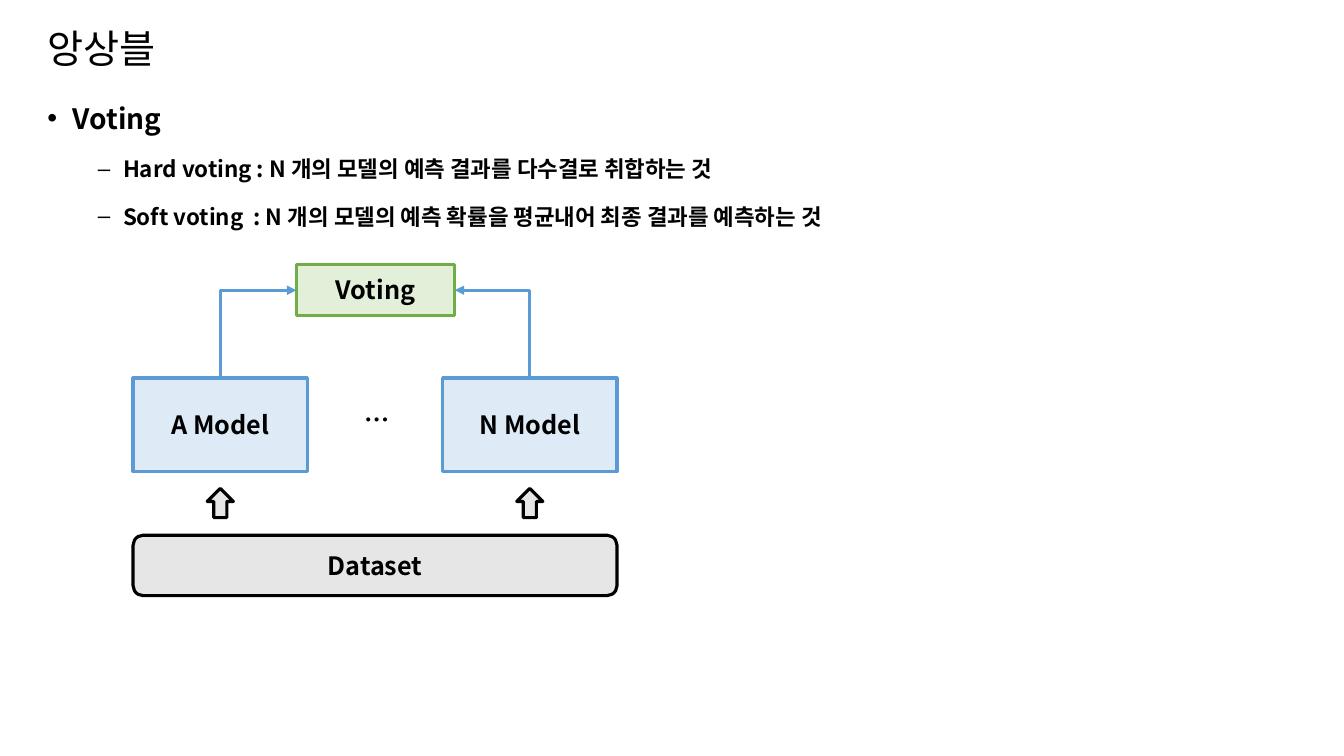
import dataclasses

import lxml.etree
import pptx
import pptx.dml.color
import pptx.enum.shapes
import pptx.enum.text
import pptx.oxml.ns
import pptx.shapes.autoshape
import pptx.shapes.base
import pptx.slide
import pptx.text.text
import pptx.util

Inches = pptx.util.Inches
Pt = pptx.util.Pt
qn = pptx.oxml.ns.qn
MSO_SHAPE = pptx.enum.shapes.MSO_SHAPE
ANCHOR = pptx.enum.text.MSO_ANCHOR
ALIGN = pptx.enum.text.PP_ALIGN

FONT = "Noto Sans CJK KR"
COLORS = {
    "text": "000000",
    "model_fill": "DEEBF7",
    "model_line": "5B9BD5",
    "voting_fill": "E2F0D9",
    "voting_line": "70AD47",
    "data_fill": "E7E6E6",
    "data_line": "000000",
}
LINE_WIDTH = Pt(2.25)
MODEL_LEFT, MODEL_WIDTH, MODEL_TOP, MODEL_STEP = 1.32, 1.73, 3.75, 3.07
VOTING_LEFT, VOTING_WIDTH, VOTING_MIDDLE = 2.94, 1.57, 2.88
ARROW_WIDTH, ARROW_HEIGHT, ARROW_TOP = 0.29, 0.26, 4.86


@dataclasses.dataclass(frozen=True)
class Block:
    label: str
    left: float
    top: float
    width: float
    height: float
    palette: str
    preset: MSO_SHAPE = MSO_SHAPE.RECTANGLE
    rotation: float = 0


@dataclasses.dataclass(frozen=True)
class Bullet:
    text: str
    level: int
    size: float
    margin: float
    line_spacing: float
    space_before: float
    mark: str


@dataclasses.dataclass(frozen=True)
class Vote:
    """Elbow from a model's top to a side of the voting block."""
    model_center: float
    voting_edge: float
    voting_site: int
    rotation: int
    flip_h: bool


def color(name: str) -> pptx.dml.color.RGBColor:
    return pptx.dml.color.RGBColor.from_string(COLORS[name])


def add_text(paragraph: pptx.text.text._Paragraph, text: str, size: float, bold: bool = True) -> None:
    run = paragraph.add_run()
    run.text = text
    run.font.name = FONT
    run.font.size = Pt(size)
    run.font.bold = bold
    run.font.color.rgb = color("text")
    east_asian = lxml.etree.SubElement(run.font._element, qn("a:ea"))
    east_asian.set("typeface", FONT)


def place(shape: pptx.shapes.base.BaseShape, left: float, top: float, width: float, height: float) -> None:
    shape.left, shape.top = Inches(left), Inches(top)
    shape.width, shape.height = Inches(width), Inches(height)


def add_bullet(paragraph: pptx.text.text._Paragraph, bullet: Bullet) -> None:
    paragraph.level = bullet.level
    paragraph.line_spacing = bullet.line_spacing
    paragraph.space_before = Pt(bullet.space_before)
    properties = paragraph._p.get_or_add_pPr()
    properties.set("marL", str(Inches(bullet.margin)))
    properties.set("indent", str(Inches(-0.25)))
    lxml.etree.SubElement(properties, qn("a:buFont")).set("typeface", "Arial")
    lxml.etree.SubElement(properties, qn("a:buChar")).set("char", bullet.mark)
    add_text(paragraph, bullet.text, bullet.size)


def add_block(slide: pptx.slide.Slide, block: Block) -> pptx.shapes.autoshape.Shape:
    shape = slide.shapes.add_shape(
        block.preset, Inches(block.left), Inches(block.top), Inches(block.width), Inches(block.height)
    )
    shape.rotation = block.rotation
    shape.shadow.inherit = False
    shape.fill.solid()
    shape.fill.fore_color.rgb = color(f"{block.palette}_fill")
    shape.line.color.rgb = color(f"{block.palette}_line")
    shape.line.width = LINE_WIDTH
    if block.label:
        shape.text_frame.vertical_anchor = ANCHOR.MIDDLE
        paragraph = shape.text_frame.paragraphs[0]
        paragraph.alignment = ALIGN.CENTER
        add_text(paragraph, block.label, 18)
    return shape


def add_vote(
    slide: pptx.slide.Slide,
    vote: Vote,
    model: pptx.shapes.autoshape.Shape,
    voting: pptx.shapes.autoshape.Shape,
) -> None:
    connector = slide.shapes.add_connector(
        pptx.enum.shapes.MSO_CONNECTOR.ELBOW,
        Inches(vote.model_center), Inches(MODEL_TOP), Inches(vote.voting_edge), Inches(VOTING_MIDDLE),
    )
    connector.begin_connect(model, 0)
    connector.end_connect(voting, vote.voting_site)

    # A single-bend elbow starts horizontally, so its frame is turned to start upwards.
    rise = MODEL_TOP - VOTING_MIDDLE
    run = abs(vote.voting_edge - vote.model_center)
    center_x = (vote.model_center + vote.voting_edge) / 2
    center_y = (MODEL_TOP + VOTING_MIDDLE) / 2
    place(connector, center_x - rise / 2, center_y - run / 2, rise, run)
    properties = connector._element.spPr
    properties.find(qn("a:prstGeom")).set("prst", "bentConnector2")
    frame = properties.find(qn("a:xfrm"))
    frame.set("rot", str(vote.rotation * 60000))
    frame.set("flipH", str(int(vote.flip_h)))
    frame.set("flipV", "1")

    connector.line.color.rgb = color("model_line")
    connector.line.width = LINE_WIDTH
    lxml.etree.SubElement(connector.line._get_or_add_ln(), qn("a:tailEnd")).set("type", "triangle")
    lxml.etree.SubElement(properties, qn("a:effectLst"))


def main() -> None:
    presentation = pptx.Presentation()
    presentation.slide_width, presentation.slide_height = Inches(13.33), Inches(7.5)
    slide = presentation.slides.add_slide(presentation.slide_layouts[1])

    title = slide.shapes.title
    place(title, 0.37, 0.21, 12.6, 0.59)
    title.text_frame.vertical_anchor = ANCHOR.MIDDLE
    heading = title.text_frame.paragraphs[0]
    heading.alignment = ALIGN.LEFT
    heading.line_spacing = 0.9
    add_text(heading, "앙상블", 28, bold=False)

    body = slide.placeholders[1]
    place(body, 0.37, 0.99, 12.6, 5.91)
    bullets = [Bullet("Voting", 0, 20, 0.25, 0.9, 10, "•")] + [
        Bullet(text, 1, 16, 0.75, 1.5, 5, "‒")
        for text in (
            "Hard voting : N 개의 모델의 예측 결과를 다수결로 취합하는 것",
            "Soft voting  : N 개의 모델의 예측 확률을 평균내어 최종 결과를 예측하는 것",
        )
    ]
    for index, bullet in enumerate(bullets):
        frame = body.text_frame
        add_bullet(frame.add_paragraph() if index else frame.paragraphs[0], bullet)

    model_lefts = [MODEL_LEFT + index * MODEL_STEP for index in range(2)]
    model_centers = [left + MODEL_WIDTH / 2 for left in model_lefts]
    models = [
        add_block(slide, Block(label, left, MODEL_TOP, MODEL_WIDTH, 0.93, "model"))
        for label, left in zip(("A Model", "N Model"), model_lefts)
    ]

    more_models = slide.shapes.add_textbox(Inches(3.52), Inches(4.01), Inches(0.4), Inches(0.34))
    more_models.text_frame.word_wrap = False
    more_models.text_frame.margin_top = more_models.text_frame.margin_bottom = 0
    add_text(more_models.text_frame.paragraphs[0], "…", 18)

    voting = add_block(slide, Block("Voting", VOTING_LEFT, 2.62, VOTING_WIDTH, 0.51, "voting"))
    votes = (
        Vote(model_centers[0], VOTING_LEFT, 1, 90, True),
        Vote(model_centers[1], VOTING_LEFT + VOTING_WIDTH, 3, 270, False),
    )
    for vote, model in zip(votes, models):
        add_vote(slide, vote, model, voting)

    add_block(slide, Block("Dataset", MODEL_LEFT, 5.31, 4.8, 0.6, "data", MSO_SHAPE.ROUNDED_RECTANGLE))
    for center in model_centers:
        add_block(slide, Block("", center - ARROW_WIDTH / 2, ARROW_TOP, ARROW_WIDTH, ARROW_HEIGHT,
                               "data", MSO_SHAPE.RIGHT_ARROW, 270))

    presentation.save("out.pptx")


if __name__ == "__main__":
    main()
